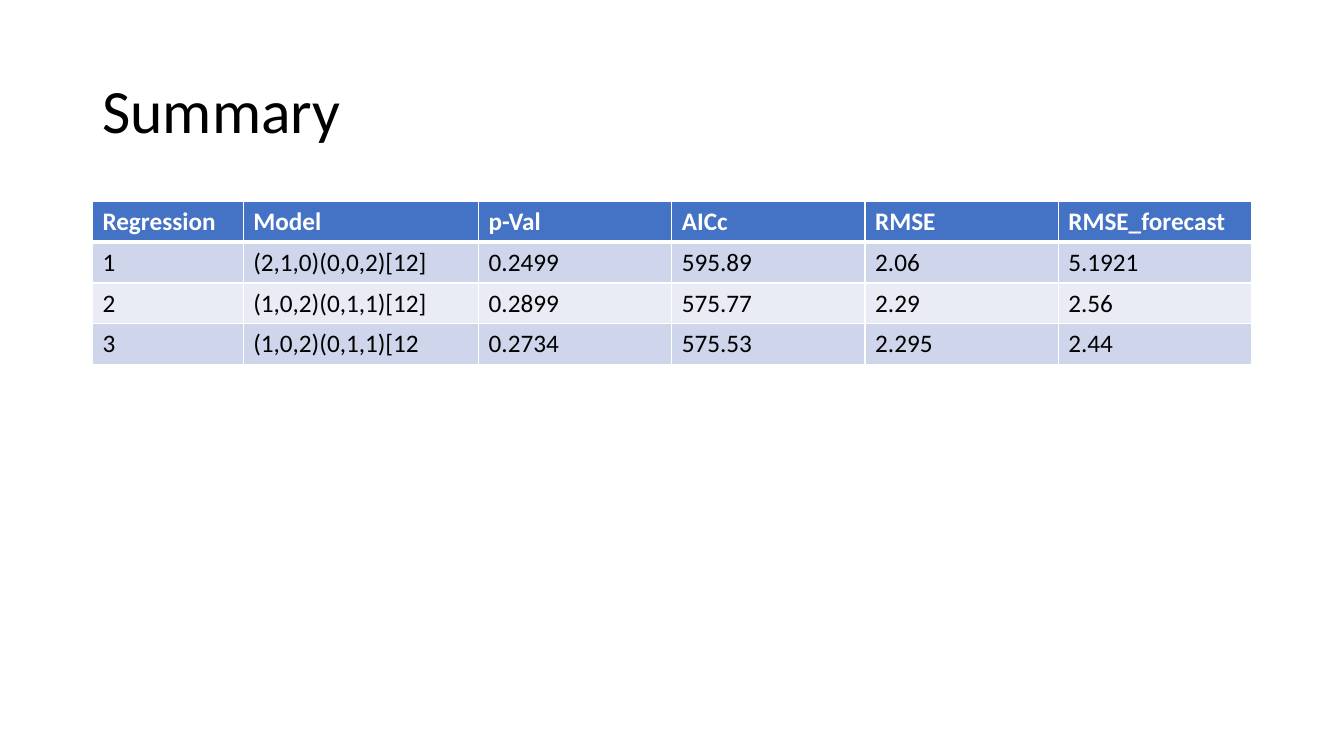
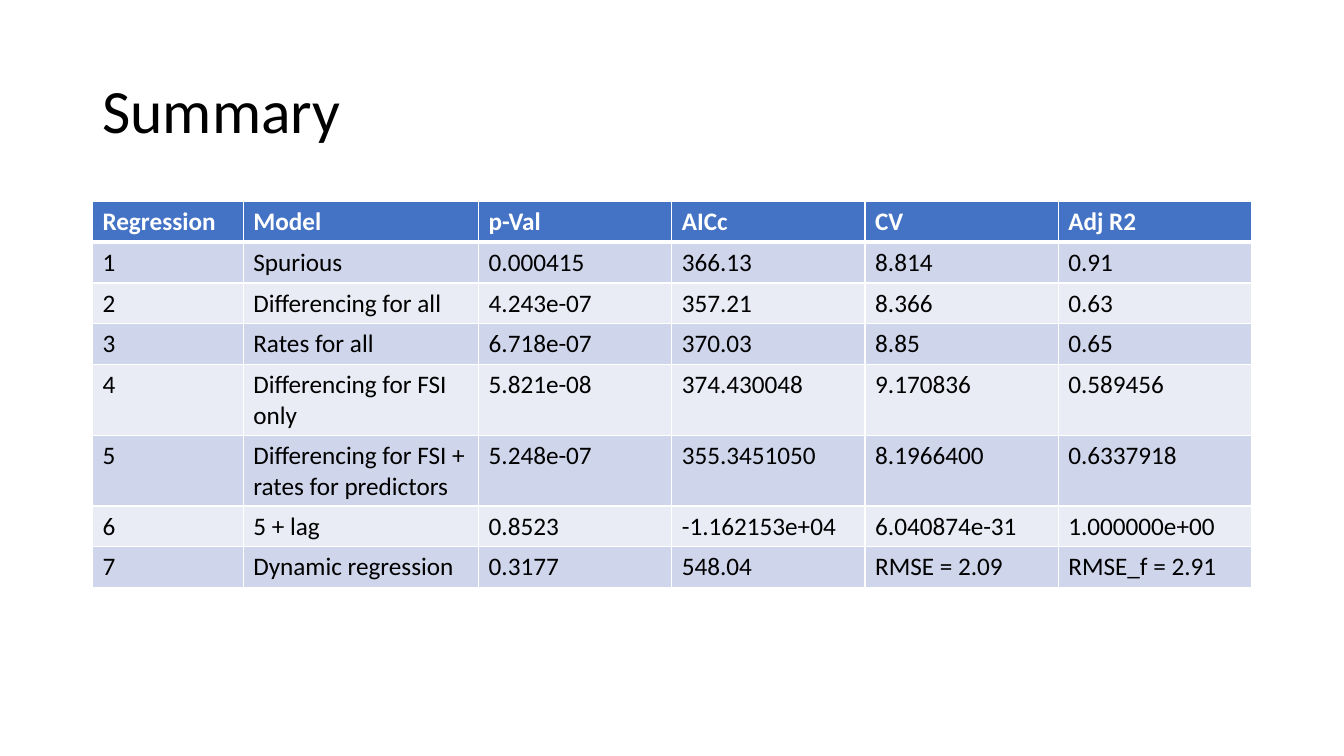
from lxml.etree import SubElement
from pptx import Presentation
from pptx.dml.color import RGBColor
from pptx.enum.text import MSO_ANCHOR
from pptx.oxml.ns import qn
from pptx.util import Cm, Pt

# Shared style
FONT = "Calibri"
COLORS = {
    "text": "000000",
    "header": "4472C4",
    "header_text": "FFFFFF",
    "odd_row": "CFD5EA",
    "even_row": "E9EBF5",
    "border": "FFFFFF",
}
LEFT, WIDTH = Cm(2.33), Cm(29.21)
COLUMN_WIDTHS = [3.8, 5.93, 4.87, 4.87, 4.87, 4.87]
ROW_HEIGHT, TALL_ROW_HEIGHT = Cm(1.03), Cm(1.78)
LONGEST_SINGLE_LINE = 20

# Slide contents: title and table rows, header row first
SLIDES = [
    ("Summary", [
        ["Regression", "Model", "p-Val", "AICc", "RMSE", "RMSE_forecast"],
        ["1", "(2,1,0)(0,0,2)[12]", "0.2499", "595.89", "2.06", "5.1921"],
        ["2", "(1,0,2)(0,1,1)[12]", "0.2899", "575.77", "2.29", "2.56"],
        ["3", "(1,0,2)(0,1,1)[12", "0.2734", "575.53", "2.295", "2.44"],
    ]),
    ("Summary", [
        ["Regression", "Model", "p-Val", "AICc", "CV", "Adj R2"],
        ["1", "Spurious", "0.000415", "366.13", "8.814", "0.91"],
        ["2", "Differencing for all", "4.243e-07", "357.21", "8.366", "0.63"],
        ["3", "Rates for all", "6.718e-07", "370.03", "8.85", "0.65"],
        ["4", "Differencing for FSI only", "5.821e-08", "374.430048", "9.170836", "0.589456"],
        ["5", "Differencing for FSI + rates for predictors", "5.248e-07", "355.3451050",
         "8.1966400", "0.6337918"],
        ["6", "5 + lag", "0.8523", "-1.162153e+04", "6.040874e-31", "1.000000e+00"],
        ["7", "Dynamic regression", "0.3177", "548.04", "RMSE = 2.09", "RMSE_f = 2.91"],
    ]),
]


def style_text(paragraph, size, color, bold=False):
    paragraph.font.name = FONT
    paragraph.font.size = Pt(size)
    paragraph.font.bold = bold
    paragraph.font.color.rgb = RGBColor.from_string(COLORS[color])


def add_borders(cell, top, bottom):
    properties = cell._tc.get_or_add_tcPr()
    for side, points in (("lnL", 1), ("lnR", 1), ("lnT", top), ("lnB", bottom)):
        line = SubElement(properties, qn(f"a:{side}"), w=str(Pt(points)))
        fill = SubElement(line, qn("a:solidFill"))
        SubElement(fill, qn("a:srgbClr"), val=COLORS["border"])


presentation = Presentation()
presentation.slide_width, presentation.slide_height = Cm(33.87), Cm(19.05)

for title, rows in SLIDES:
    slide = presentation.slides.add_slide(presentation.slide_layouts[6])

    # Title
    title_box = slide.shapes.add_textbox(LEFT, Cm(1.01), WIDTH, Cm(3.68))
    title_box.text_frame.word_wrap = True
    title_box.text_frame.vertical_anchor = MSO_ANCHOR.MIDDLE
    paragraph = title_box.text_frame.paragraphs[0]
    paragraph.text = title
    paragraph.line_spacing = 0.9
    style_text(paragraph, 44, "text")

    # Table grid
    heights = [TALL_ROW_HEIGHT if len(row[1]) > LONGEST_SINGLE_LINE else ROW_HEIGHT
               for row in rows]
    table = slide.shapes.add_table(len(rows), len(COLUMN_WIDTHS), LEFT, Cm(5.07),
                                   WIDTH, sum(heights)).table
    for column, width in zip(table.columns, COLUMN_WIDTHS):
        column.width = Cm(width)
    for table_row, height in zip(table.rows, heights):
        table_row.height = height

    # Table cells: header, then alternating bands
    for row_index, row in enumerate(rows):
        is_header = row_index == 0
        band = "header" if is_header else "odd_row" if row_index % 2 else "even_row"
        for column_index, text in enumerate(row):
            cell = table.cell(row_index, column_index)
            add_borders(cell, top=3 if row_index == 1 else 1, bottom=3 if is_header else 1)
            cell.fill.solid()
            cell.fill.fore_color.rgb = RGBColor.from_string(COLORS[band])
            paragraph = cell.text_frame.paragraphs[0]
            paragraph.text = text
            style_text(paragraph, 18, "header_text" if is_header else "text", is_header)

presentation.save("out.pptx")
